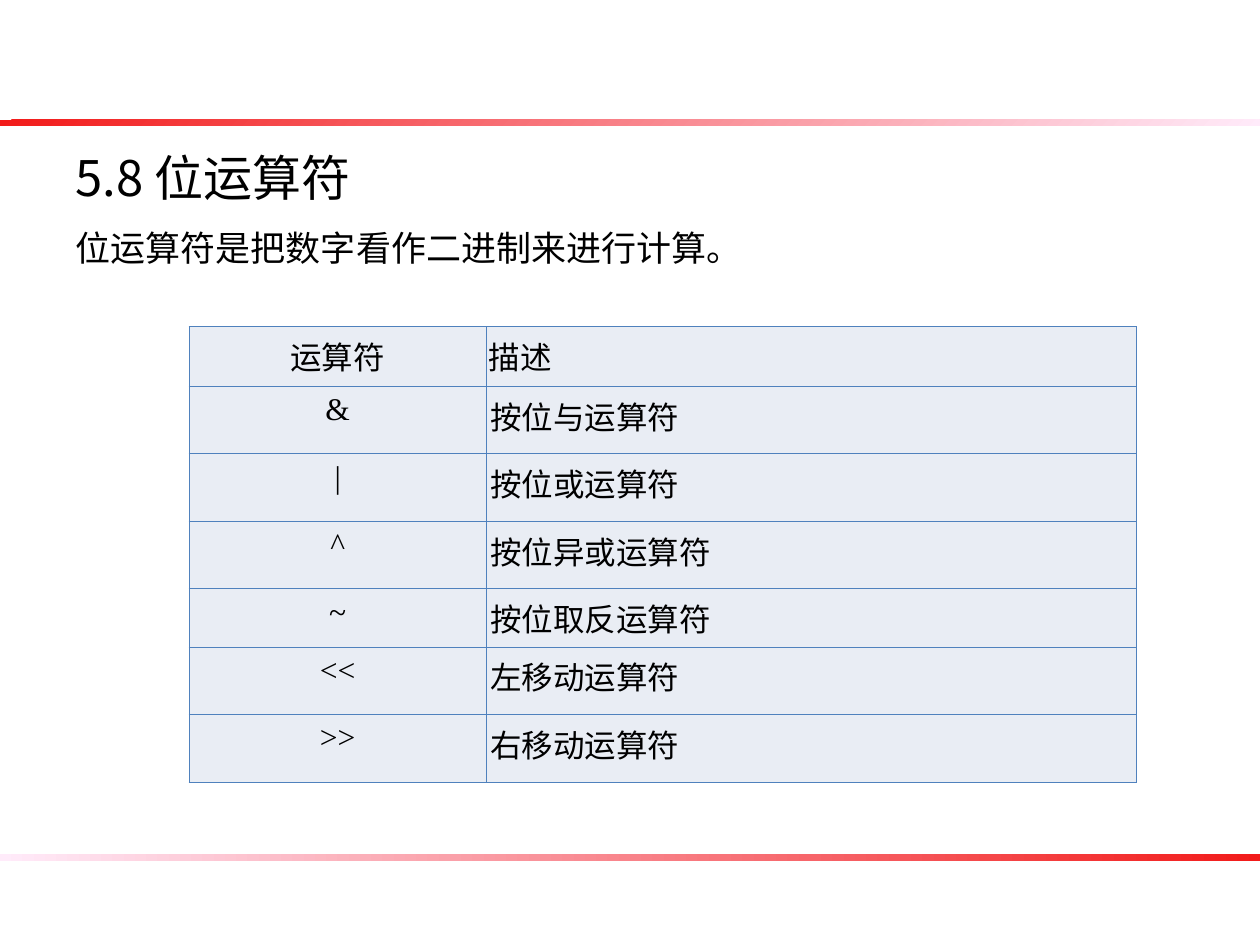
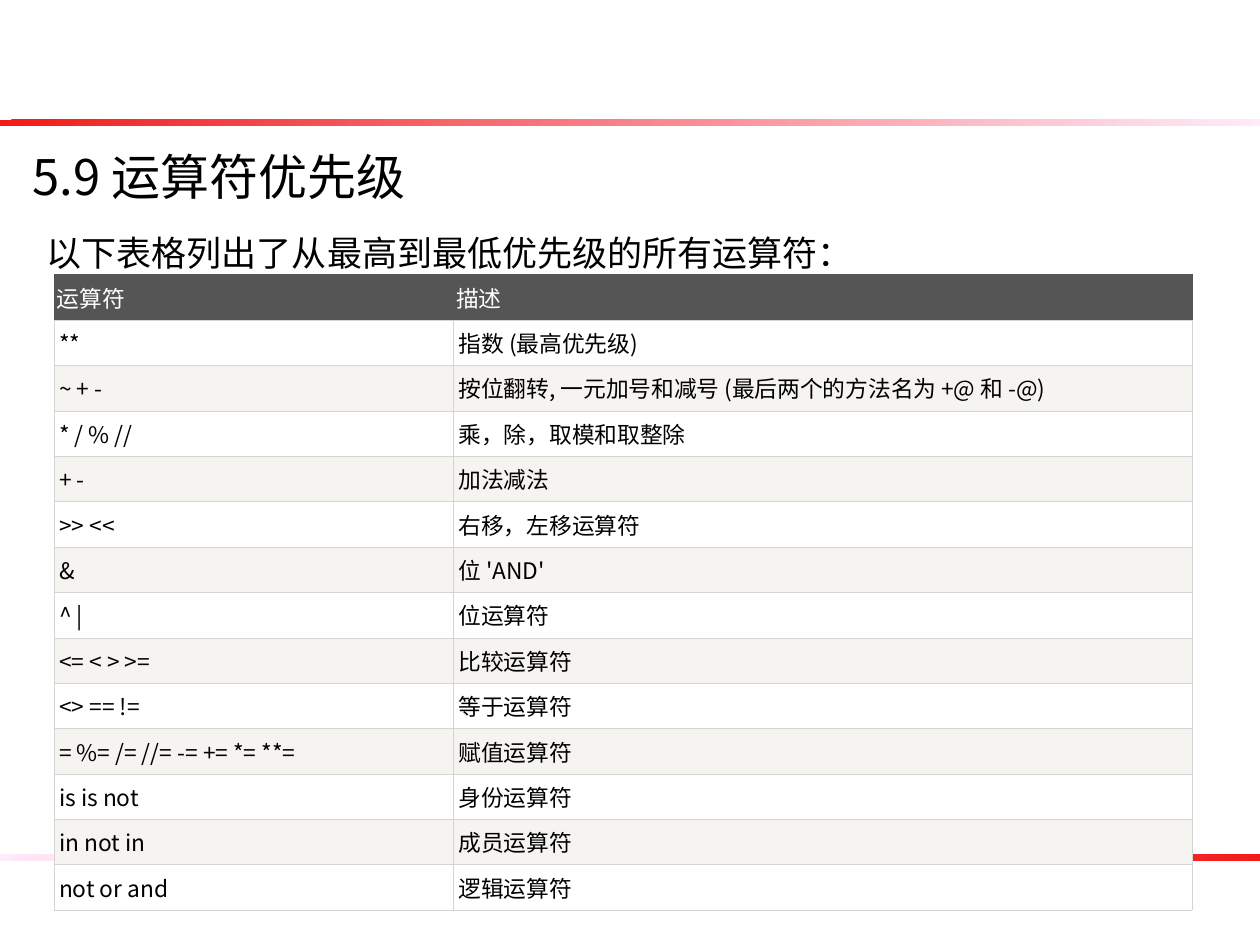
from dataclasses import dataclass

from lxml.etree import SubElement as Sub
from pptx import Presentation
from pptx.dml.color import RGBColor as Rgb
from pptx.enum.shapes import MSO_SHAPE as Shape
from pptx.enum.text import MSO_ANCHOR as Anchor, MSO_AUTO_SIZE as Auto, PP_ALIGN as Align
from pptx.oxml.ns import qn
from pptx.util import Inches, Pt


@dataclass(frozen=True)
class Theme:
    sans: str = "Noto Sans CJK SC"
    round: str = "TeX Gyre Adventor"
    serif: str = "Times New Roman"
    ink: str = "000000"
    white: str = "FFFFFF"
    red: str = "F21B1A"
    pink: str = "FFEBFA"
    blue: str = "4F81BD"
    pale: str = "E9EDF4"
    dark: str = "555555"
    cream: str = "F6F4F0"
    rule: str = "D4D4D4"
    title: int = 28
    lead: int = 20
    cell: int = 18
    small: int = 13


T = Theme()

# The slide is a grid of 100 columns by 75 rows of square units
COLS, ROWS = 100, 75
UNIT = Inches(0.1)


def grid(*units):
    return [round(u * UNIT) for u in units]


def write(frame, text, size=T.lead, font=T.sans, color=T.ink,
          align=Align.LEFT, lines=1.0, pad=(1, 0.5)):
    """Put one formatted paragraph in a text frame."""
    side, top = grid(*pad)
    frame.margin_left = frame.margin_right = side
    frame.margin_top = frame.margin_bottom = top
    frame.vertical_anchor = Anchor.TOP
    frame.word_wrap = True
    par = frame.paragraphs[0]
    props = par._p.get_or_add_pPr()
    props.set("marL", "0")
    props.set("indent", "0")
    Sub(props, qn("a:buNone"))
    par.alignment, par.line_spacing, par.space_before = align, lines, Pt(0)
    run = par.add_run()
    run.text = text
    run.font.size, run.font.name = Pt(size), font
    run.font.color.rgb = Rgb.from_string(color)
    Sub(run._r.get_or_add_rPr(), qn("a:ea"), typeface=T.sans)


def place(holder, box, text, **style):
    """Move a placeholder to its box and fill it."""
    holder.left, holder.top, holder.width, holder.height = grid(*box)
    holder.text_frame.auto_size = Auto.NONE
    write(holder.text_frame, text, **style)


def band(slide, master, box, angle):
    """Draw a fading band and hand it to the master."""
    bar = slide.shapes.add_shape(Shape.RECTANGLE, *grid(*box))
    bar.shadow.inherit = False
    bar.line.fill.background()
    bar.fill.gradient()
    bar.fill.gradient_angle = angle
    for stop, color, spot in zip(bar.fill.gradient_stops, (T.red, T.pink), (0, 1)):
        stop.color.rgb = Rgb.from_string(color)
        stop.position = spot
    master.element.cSld.spTree.append(bar.element)


def edge(cell, colors, width):
    """Line the left, right, top and bottom of a cell."""
    props = cell._tc.get_or_add_tcPr()
    for spot, (side, color) in enumerate(zip("LRTB", colors)):
        line = Sub(props, qn(f"a:ln{side}"), w=str(Pt(width)))
        Sub(Sub(line, qn("a:solidFill")), qn("a:srgbClr"), val=color)
        props.insert(spot, line)


def table(slide, box, data, widths, heights, look):
    """Build a table; look(row, col) gives fill, edges, line width and text style."""
    frame = slide.shapes.add_table(len(data), len(widths), *grid(*box))
    tab = frame.table
    tab.first_row = tab.horz_banding = False
    for col, width in zip(tab.columns, grid(*widths)):
        col.width = width
    for row, height in zip(tab.rows, grid(*heights)):
        row.height = height
    for r, texts in enumerate(data):
        for c, text in enumerate(texts):
            fill, edges, line, style = look(r, c)
            cell = tab.cell(r, c)
            side, top = grid(*style["pad"])
            cell.margin_left = cell.margin_right = side
            cell.margin_top = cell.margin_bottom = top
            cell.fill.solid()
            cell.fill.fore_color.rgb = Rgb.from_string(fill)
            edge(cell, edges, line)
            fill_cell(cell, text, **style)


def fill_cell(cell, text, **style):
    """Write in a cell, whose margins and anchor are its own."""
    write(cell.text_frame, text, **style)
    body = cell.text_frame._txBody.bodyPr
    body.attrib.clear()
    cell.vertical_anchor = Anchor.TOP


def bit_look(r, c):
    style = dict(size=T.cell, font=T.serif, pad=(0.3 if r else 0.2, 0.5),
                 align=Align.LEFT if c else Align.CENTER)
    return T.pale, [T.blue] * 4, 0.45, style


def rank_look(r, c):
    if r == 0:
        style = dict(size=T.small, color=T.white, pad=(0.2, 0.5))
        return T.dark, [T.dark] * 3 + [T.rule], 0.34, style
    fill = T.white if r % 2 else T.cream
    return fill, [T.rule] * 4, 0.34, dict(size=T.small, pad=(0.4, 0.5))


HEAD = ("运算符", "描述")

BITS = [
    HEAD,
    ("&", "按位与运算符"),
    ("|", "按位或运算符"),
    ("^", "按位异或运算符"),
    ("~", "按位取反运算符"),
    ("<<", "左移动运算符"),
    (">>", "右移动运算符"),
]

RANKS = [
    HEAD,
    ("**", "指数 (最高优先级)"),
    ("~ + -", "按位翻转, 一元加号和减号 (最后两个的方法名为 +@ 和 -@)"),
    ("* / % //", "乘，除，取模和取整除"),
    ("+ -", "加法减法"),
    (">> <<", "右移，左移运算符"),
    ("&", "位 'AND'"),
    ("^ |", "位运算符"),
    ("<= < > >=", "比较运算符"),
    ("<> == !=", "等于运算符"),
    ("= %= /= //= -= += *= **=", "赋值运算符"),
    ("is is not", "身份运算符"),
    ("in not in", "成员运算符"),
    ("not or and", "逻辑运算符"),
]


def bit_page(slide):
    """Bitwise operators."""
    title, body = slide.placeholders
    place(title, (5, 11.2, 90, 12.5), "5.8 位运算符", size=T.title)
    place(body, (5, 17.5, 90, 49.5), "位运算符是把数字看作二进制来进行计算。",
          font=T.round)
    heights = [4.75, 5.36, 5.36, 5.36, 4.6, 5.36, 5.36]
    table(slide, (15, 25.9, 75.2, sum(heights)), BITS, (23.6, 51.6), heights, bit_look)


def rank_page(slide):
    """Operator precedence."""
    title, body = slide.placeholders
    place(title, (1.6, 11.1, 96.9, 6.3), "5.9 运算符优先级", size=T.title)
    place(body, (2.7, 16.2, 91.9, 51.5), "以下表格列出了从最高到最低优先级的所有运算符：",
          lines=1.5)
    heights = [3.2] * len(RANKS)
    table(slide, (4.3, 21.8, 90.3, sum(heights)), RANKS, (31.7, 58.6), heights, rank_look)


def main():
    deck = Presentation()
    deck.slide_width, deck.slide_height = grid(COLS, ROWS)
    pages = []
    for build in (bit_page, rank_page):
        slide = deck.slides.add_slide(deck.slide_layouts[1])
        build(slide)
        pages.append(slide)
    # Bands shared by both slides
    band(pages[0], deck.slide_master, (0, 9.5, COLS, 0.5), 315)
    band(pages[0], deck.slide_master, (0, 67.8, COLS, 0.5), 180)
    deck.save("out.pptx")


if __name__ == "__main__":
    main()
